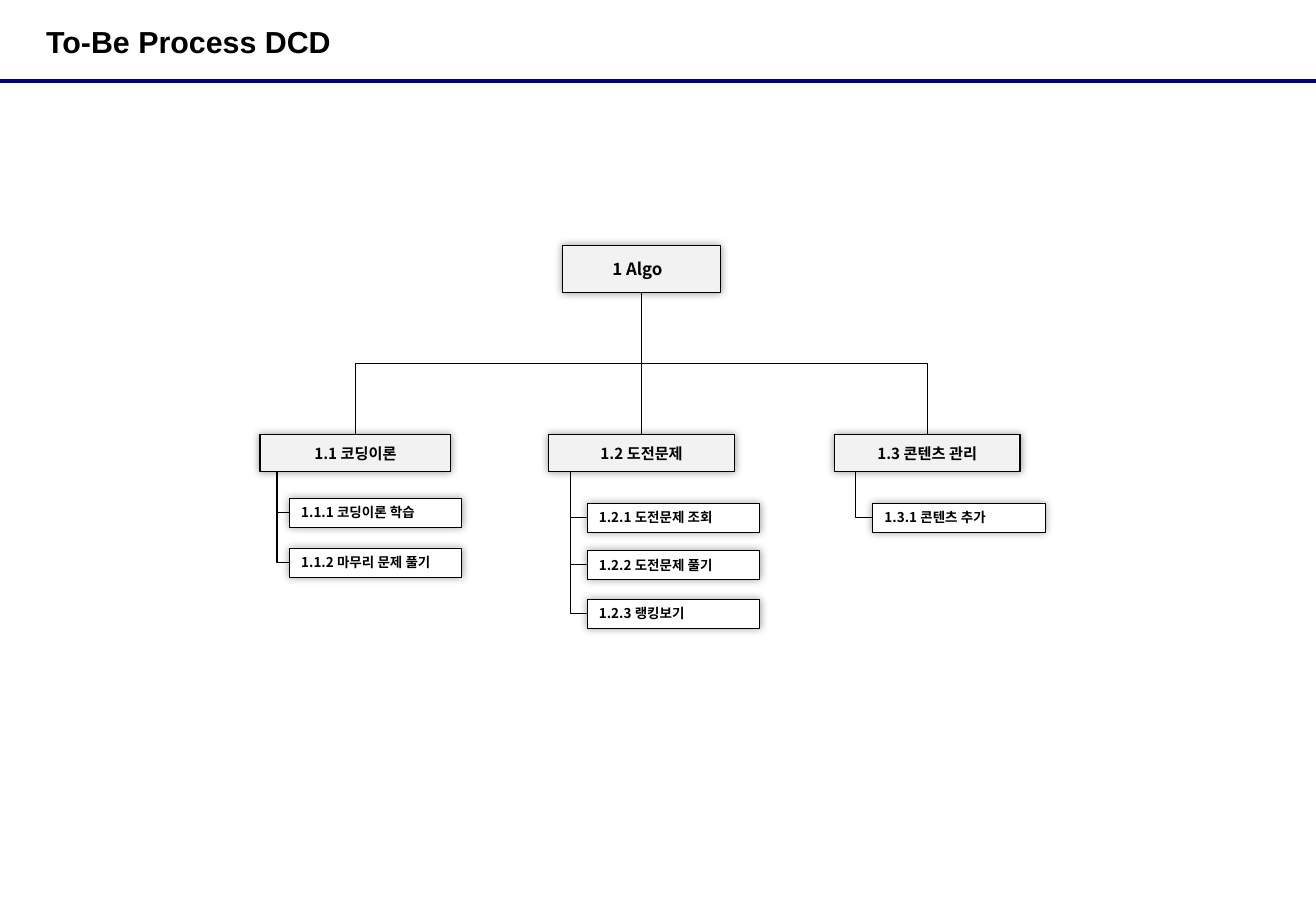
from lxml.etree import SubElement
from pptx import Presentation
from pptx.dml.color import RGBColor
from pptx.enum.shapes import MSO_CONNECTOR, MSO_SHAPE
from pptx.enum.text import MSO_ANCHOR, PP_ALIGN
from pptx.oxml.ns import qn
from pptx.util import Inches, Pt

COLORS = {"ink": "000000", "rule": "000080", "group": "F2F2F2", "task": "FFFFFF"}
COLS, ROWS = 108.3, 75
TASK_W, TASK_H = 14.2, 2.4
SECTION_Y, SECTION_H = 35.8, 3

SECTIONS = [
    ("1.1 코딩이론", 21.4, 15.7, 22.8, 23.8,
     [("1.1.1 코딩이론 학습", 41), ("1.1.2 마무리 문제 풀기", 45.1)]),
    ("1.2 도전문제", 45.15, 15.3, 46.95, 48.3,
     [("1.2.1 도전문제 조회", 41.4), ("1.2.2 도전문제 풀기", 45.3), ("1.2.3 랭킹보기", 49.3)]),
    ("1.3 콘텐츠 관리", 68.65, 15.3, 70.4, 71.8,
     [("1.3.1 콘텐츠 추가", 41.4)]),
]


class Chart:
    def __init__(self, prs):
        self.width, self.height = prs.slide_width, prs.slide_height
        self.font = "Noto Sans CJK KR"
        self.slide = prs.slides.add_slide(prs.slide_layouts[6])

    def x(self, cols):
        return round(self.width * cols / COLS)

    def y(self, rows):
        return round(self.height * rows / ROWS)

    def color(self, name):
        return RGBColor.from_string(COLORS[name])

    def label(self, tf, text, size, font, align):
        tf.word_wrap = True
        tf.vertical_anchor = MSO_ANCHOR.MIDDLE
        p = tf.paragraphs[0]
        p.text = text
        p.alignment = align
        r = p.runs[0]
        r.font.size, r.font.bold, r.font.name = Pt(size), True, font
        r.font.color.rgb = self.color("ink")
        SubElement(r.font._element, qn("a:ea"), typeface=font)

    def title(self, text):
        s = self.slide.shapes.add_textbox(self.x(3.8), 0, self.x(70.8), self.y(6.8))
        tf = s.text_frame
        tf.margin_left = tf.margin_right = tf.margin_top = tf.margin_bottom = 0
        self.label(tf, text, 18, "Arial", PP_ALIGN.LEFT)

    def box(self, text, x, y, w, h, size, fill="group", line=0.75, align=PP_ALIGN.CENTER):
        s = self.slide.shapes.add_shape(
            MSO_SHAPE.RECTANGLE, self.x(x), self.y(y), self.x(w), self.y(h))
        s.fill.solid()
        s.fill.fore_color.rgb = self.color(fill)
        s.line.color.rgb = self.color("ink")
        s.line.width = Pt(line)
        s.shadow.inherit = False
        effects = s._element.spPr.find(qn("a:effectLst"))
        shadow = SubElement(effects, qn("a:outerShdw"), blurRad=str(Pt(5)), dist="0",
                            algn="ctr", rotWithShape="0")
        tint = SubElement(shadow, qn("a:srgbClr"), val=COLORS["ink"])
        SubElement(tint, qn("a:alpha"), val="40000")
        self.label(s.text_frame, text, size, self.font, align)
        return s

    def line(self, kind, ends, color, width):
        c = self.slide.shapes.add_connector(kind, *ends)
        c.line.color.rgb = self.color(color)
        c.line.width = Pt(width)
        SubElement(c._element.spPr, qn("a:effectLst"))
        return c

    def rule(self, row):
        self.line(MSO_CONNECTOR.STRAIGHT, (0, self.y(row), self.width, self.y(row)), "rule", 2.25)

    def elbow(self, x1, y1, x2, y2, preset):
        x1, x2, y1, y2 = self.x(x1), self.x(x2), self.y(y1), self.y(y2)
        run, drop = abs(x2 - x1), y2 - y1
        left, top = (x1 + x2 - drop) // 2, (y1 + y2 - run) // 2
        c = self.line(MSO_CONNECTOR.ELBOW, (left, top, left + drop, top + run), "ink", 0.75)
        spPr = c._element.spPr
        spPr.find(qn("a:prstGeom")).set("prst", preset)
        xfrm = spPr.find(qn("a:xfrm"))
        if x2 < x1:
            xfrm.set("rot", "5400000")
        else:
            xfrm.set("rot", "16200000")
            xfrm.set("flipH", "1")


def main():
    prs = Presentation()
    prs.slide_width, prs.slide_height = Inches(10.83), Inches(7.5)
    chart = Chart(prs)
    chart.rule(6.7)
    chart.title("To-Be Process DCD")

    for name, x, w, stem, task_x, tasks in SECTIONS:
        chart.elbow(52.8, 24.1, x + w / 2, SECTION_Y, "bentConnector3")
        for task, y in tasks:
            chart.elbow(stem, SECTION_Y + SECTION_H, task_x, y + TASK_H / 2, "bentConnector2")
            chart.box(task, task_x, y, TASK_W, TASK_H, 8, "task", 0.25, PP_ALIGN.LEFT)
        chart.box(name, x, SECTION_Y, w, SECTION_H, 9)

    root = chart.box("1 Algo", 46.3, 20.2, 13, 3.9, 10)
    root.text_frame.margin_left = Inches(0.03)
    prs.save("out.pptx")


if __name__ == "__main__":
    main()
